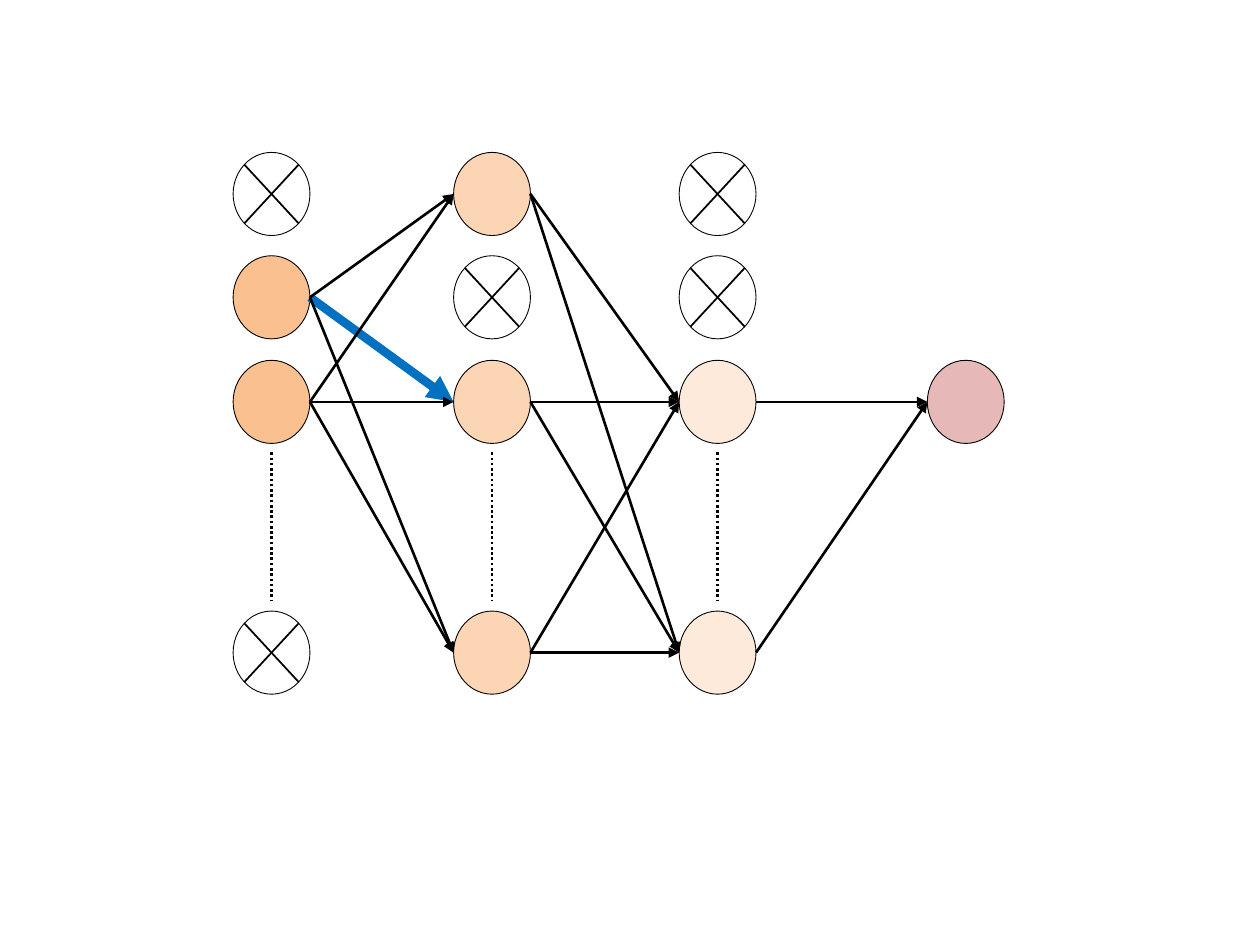
from math import cos, pi

from pptx import Presentation
from pptx.dml.color import RGBColor
from pptx.enum.dml import MSO_LINE
from pptx.enum.shapes import MSO_CONNECTOR, MSO_SHAPE
from pptx.oxml.ns import qn
from pptx.util import Inches, Pt
from lxml.etree import SubElement

THEME = {
    "ink": "000000", "highlight": "0070C0",
    "layers": ["FAC090", "FCD5B5", "FDEADA", "E6B9B8"],
    "outline": 0.5, "cross": 1, "link": 1.5, "highlight_link": 5,
}

# Grid of node centres, in inches
COLS = [2.155, 3.905, 5.695, 7.665]
ROWS = [1.54, 2.36, 3.19, 5.18]
NODE_W, NODE_H = 0.61, 0.66
DOTS_TOP, DOTS_BOTTOM = 3.59, 4.77

# Rows of the kept nodes in each layer; the other hidden nodes are dropped
KEPT = [[1, 2], [0, 2, 3], [2, 3], [2]]
HIDDEN_LAYERS = 3
HIGHLIGHT = (0, 1, 2)  # layer, from row, to row

prs = Presentation()
prs.slide_width, prs.slide_height = Inches(10), Inches(7.5)
s = prs.slides.add_slide(prs.slide_layouts[6])


def add_line(x1, y1, x2, y2, width, color=THEME["ink"], arrow=False):
    line = s.shapes.add_connector(
        MSO_CONNECTOR.STRAIGHT, Inches(x1), Inches(y1), Inches(x2), Inches(y2))
    line.line.color.rgb = RGBColor.from_string(color)
    line.line.width = Pt(width)
    if arrow:
        SubElement(line.line._get_or_add_ln(), qn("a:tailEnd"), type="triangle")
    SubElement(line._element.spPr, qn("a:effectLst"))
    return line


# Nodes, with a cross through each dropped one
dx, dy = NODE_W / 2 * cos(pi / 4), NODE_H / 2 * cos(pi / 4)
for layer, x in enumerate(COLS):
    hidden = layer < HIDDEN_LAYERS
    for row in range(len(ROWS)) if hidden else KEPT[layer]:
        y = ROWS[row]
        sp = s.shapes.add_shape(
            MSO_SHAPE.OVAL, Inches(x - NODE_W / 2), Inches(y - NODE_H / 2),
            Inches(NODE_W), Inches(NODE_H))
        sp.shadow.inherit = False
        sp.line.color.rgb = RGBColor.from_string(THEME["ink"])
        sp.line.width = Pt(THEME["outline"])
        if row in KEPT[layer]:
            sp.fill.solid()
            sp.fill.fore_color.rgb = RGBColor.from_string(THEME["layers"][layer])
        else:
            sp.fill.background()
            for side in (dy, -dy):
                add_line(x - dx, y - side, x + dx, y + side, THEME["cross"])
    if hidden:
        dots = add_line(x, DOTS_TOP, x, DOTS_BOTTOM, THEME["link"])
        dots.line.dash_style = MSO_LINE.ROUND_DOT

# Links between kept nodes of neighbouring layers, the highlighted one at the back
links = [(layer, a, b) for layer in range(HIDDEN_LAYERS)
         for a in KEPT[layer] for b in KEPT[layer + 1]]
links.sort(key=lambda link: link != HIGHLIGHT)
for link in links:
    layer, a, b = link
    width, color = THEME["link"], THEME["ink"]
    if link == HIGHLIGHT:
        width, color = THEME["highlight_link"], THEME["highlight"]
    add_line(COLS[layer] + NODE_W / 2, ROWS[a],
             COLS[layer + 1] - NODE_W / 2, ROWS[b], width, color, arrow=True)

prs.save("out.pptx")
